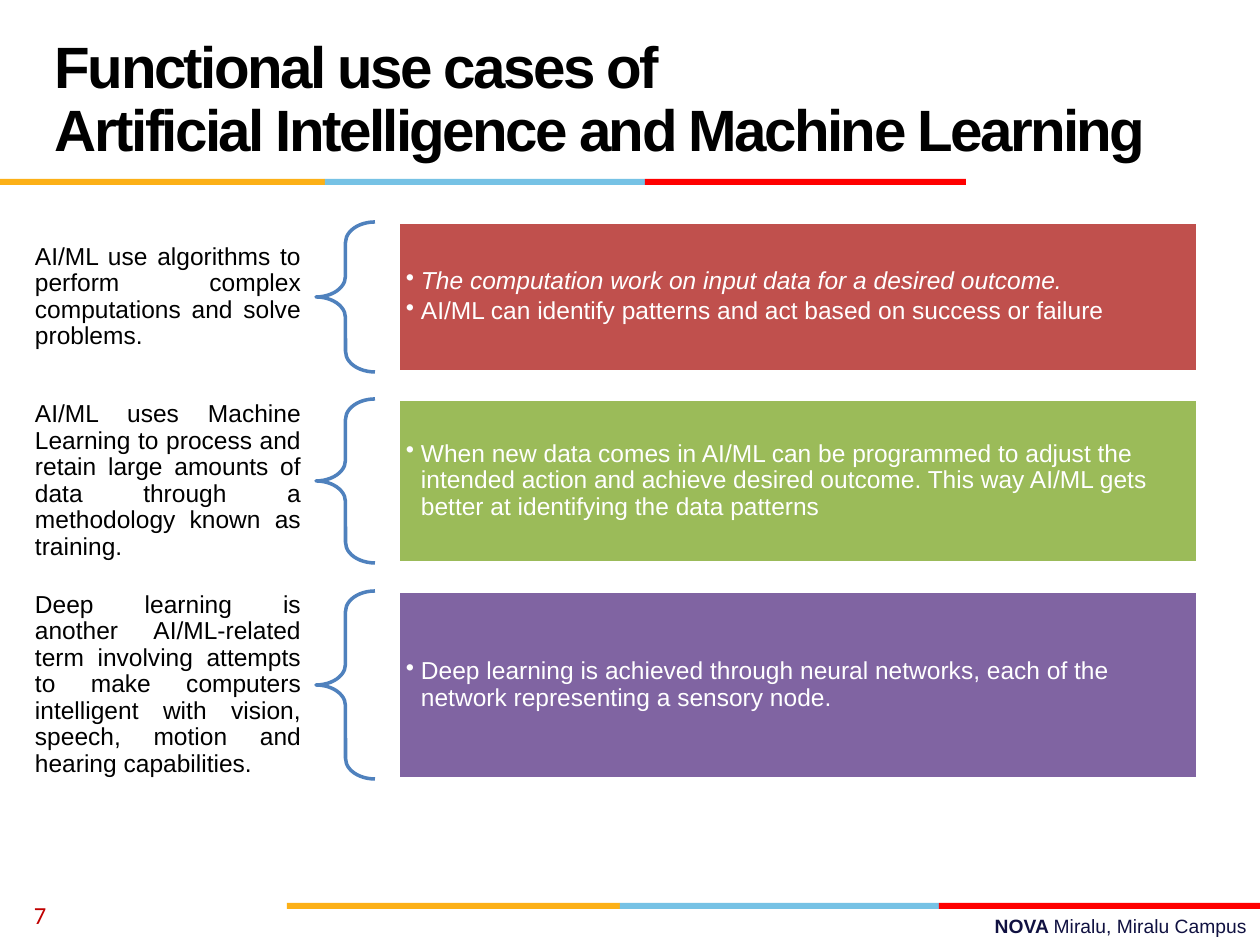
from lxml import etree
from pptx import Presentation
from pptx.dml.color import RGBColor
from pptx.enum.shapes import MSO_SHAPE
from pptx.enum.text import MSO_ANCHOR, PP_ALIGN
from pptx.oxml.ns import qn
from pptx.util import Emu, Pt

PX = 914400 // 126
RECTANGLE, LEFT_BRACE = MSO_SHAPE.RECTANGLE, MSO_SHAPE.LEFT_BRACE
TOP, MIDDLE = MSO_ANCHOR.TOP, MSO_ANCHOR.MIDDLE
LEFT, RIGHT, JUSTIFY = PP_ALIGN.LEFT, PP_ALIGN.RIGHT, PP_ALIGN.JUSTIFY

BLACK = RGBColor(0x00, 0x00, 0x00)
WHITE = RGBColor(0xFF, 0xFF, 0xFF)
AMBER = RGBColor(0xFC, 0xB0, 0x17)
SKY = RGBColor(0x76, 0xC2, 0xE5)
RED = RGBColor(0xFF, 0x00, 0x00)
DARK_RED = RGBColor(0xC0, 0x00, 0x00)
NAVY = RGBColor(0x10, 0x11, 0x41)
BLUE = RGBColor(0x4F, 0x81, 0xBD)
BRICK = RGBColor(0xC0, 0x50, 0x4D)
GREEN = RGBColor(0x9B, 0xBB, 0x59)
PURPLE = RGBColor(0x80, 0x64, 0xA2)

TITLE = ["Functional use cases of", "Artificial Intelligence and Machine Learning"]
USE_CASES = [
    (222, 150, BRICK,
     "AI/ML use algorithms to perform complex computations and solve problems.",
     [("The computation work on input data for a desired outcome.", True),
      ("AI/ML can identify patterns and act based on success or failure", False)]),
    (399, 164, GREEN,
     "AI/ML uses Machine Learning to process and retain large amounts of data "
     "through a methodology known as training.",
     [("When new data comes in AI/ML can be programmed to adjust the intended action "
       "and achieve desired outcome. This way AI/ML gets better at identifying the "
       "data patterns", False)]),
    (591, 188, PURPLE,
     "Deep learning is another AI/ML-related term involving attempts to make computers "
     "intelligent with vision, speech, motion and hearing capabilities.",
     [("Deep learning is achieved through neural networks, each of the network "
       "representing a sensory node.", False)]),
]


def px(*lengths):
    """Turn pixel lengths into EMU."""
    return [Emu(length * PX) for length in lengths]


def apply(target, formats):
    """Set each format value on the target."""
    for name, value in formats.items():
        setattr(target, name, value)


def set_frame(shape, anchor, side, end):
    """Give a shape's text frame its wrapping, anchor and insets."""
    side, end = px(side, end)
    apply(shape.text_frame, {
        "word_wrap": True, "vertical_anchor": anchor,
        "margin_left": side, "margin_right": side,
        "margin_top": end, "margin_bottom": end})
    return shape.text_frame


def add_text_box(slide, box, anchor=MIDDLE, side=13, end=6):
    """Add a text box and return its text frame."""
    return set_frame(slide.shapes.add_textbox(*px(*box)), anchor, side, end)


def add_run(paragraph, text, size, color, font="Arial", bold=False, italic=False):
    """Add a formatted run to a paragraph."""
    run = paragraph.add_run()
    run.text = text
    apply(run.font, {"name": font, "size": Pt(size), "bold": bold, "italic": italic})
    run.font.color.rgb = color
    return run


def next_paragraph(frame, index):
    """Return the first paragraph of a frame, or a new one after it."""
    return frame.add_paragraph() if index else frame.paragraphs[0]


def add_shape(slide, kind, box, fill=None, line=None):
    """Add a preset shape with an optional fill and outline."""
    shape = slide.shapes.add_shape(kind, *px(*box))
    shape.shadow.inherit = False
    if fill is None:
        shape.fill.background()
    else:
        shape.fill.solid()
        shape.fill.fore_color.rgb = fill
    if line is None:
        shape.line.fill.background()
    else:
        shape.line.color.rgb = line
        shape.line.width = Pt(2)
    return shape


def add_stripe(slide, edges, top):
    """Add the three-coloured stripe between the given edges."""
    for start, stop, color in zip(edges, edges[1:], (AMBER, SKY, RED)):
        add_shape(slide, RECTANGLE, (start, top, stop - start, 6), color)


def add_title(slide):
    """Add the tightly spaced title lines."""
    frame = add_text_box(slide, (42, 21, 1176, 158))
    for index, text in enumerate(TITLE):
        line = next_paragraph(frame, index)
        line.line_spacing = Pt(36)
        run = add_run(line, text, 33.3, BLACK, bold=True)
        run.font._element.set("spc", "-150")


def add_bullet(paragraph, indent):
    """Give a paragraph a hanging bullet."""
    properties = paragraph._p.get_or_add_pPr()
    properties.set("marL", str(indent * PX))
    properties.set("indent", str(-indent * PX))
    etree.SubElement(properties, qn("a:buChar"), char="•")


def add_use_case(slide, top, height, color, summary, details):
    """Add a summary, its brace and the panel of details."""
    label = add_text_box(slide, (21, top, 294, height), side=14, end=5).paragraphs[0]
    apply(label, {"alignment": JUSTIFY, "line_spacing": 0.9})
    add_run(label, summary, 14, BLACK)

    brace = add_shape(slide, LEFT_BRACE, (316, top, 59, height), line=BLUE)
    brace.adjustments[0], brace.adjustments[1] = 0.35, 0.5

    panel = add_shape(slide, RECTANGLE, (398, top, 800, height), color, WHITE)
    frame = set_frame(panel, MIDDLE, 8, 8)
    for index, (text, italic) in enumerate(details):
        detail = next_paragraph(frame, index)
        apply(detail, {"alignment": LEFT, "line_spacing": 0.9, "space_after": Pt(2)})
        add_bullet(detail, 15)
        add_run(detail, text, 14, WHITE, italic=italic)


def add_footer(slide):
    """Add the campus name and the slide number."""
    campus = add_text_box(slide, (451, 908, 809, 37), TOP).paragraphs[0]
    campus.alignment = RIGHT
    add_run(campus, "NOVA ", 11, NAVY, bold=True)
    add_run(campus, "Miralu, Miralu Campus", 11, NAVY)
    number = add_text_box(slide, (21, 890, 294, 50)).paragraphs[0]
    add_run(number, "7", 14, DARK_RED, font="Calibri")


def main():
    """Build the slide and save it."""
    presentation = Presentation()
    presentation.slide_width, presentation.slide_height = px(1260, 945)
    slide = presentation.slides.add_slide(presentation.slide_layouts[6])
    add_stripe(slide, (287, 620, 939, 1260), 903)
    add_stripe(slide, (0, 325, 645, 966), 179)
    add_title(slide)
    for use_case in USE_CASES:
        add_use_case(slide, *use_case)
    add_footer(slide)
    presentation.save("out.pptx")


if __name__ == "__main__":
    main()
